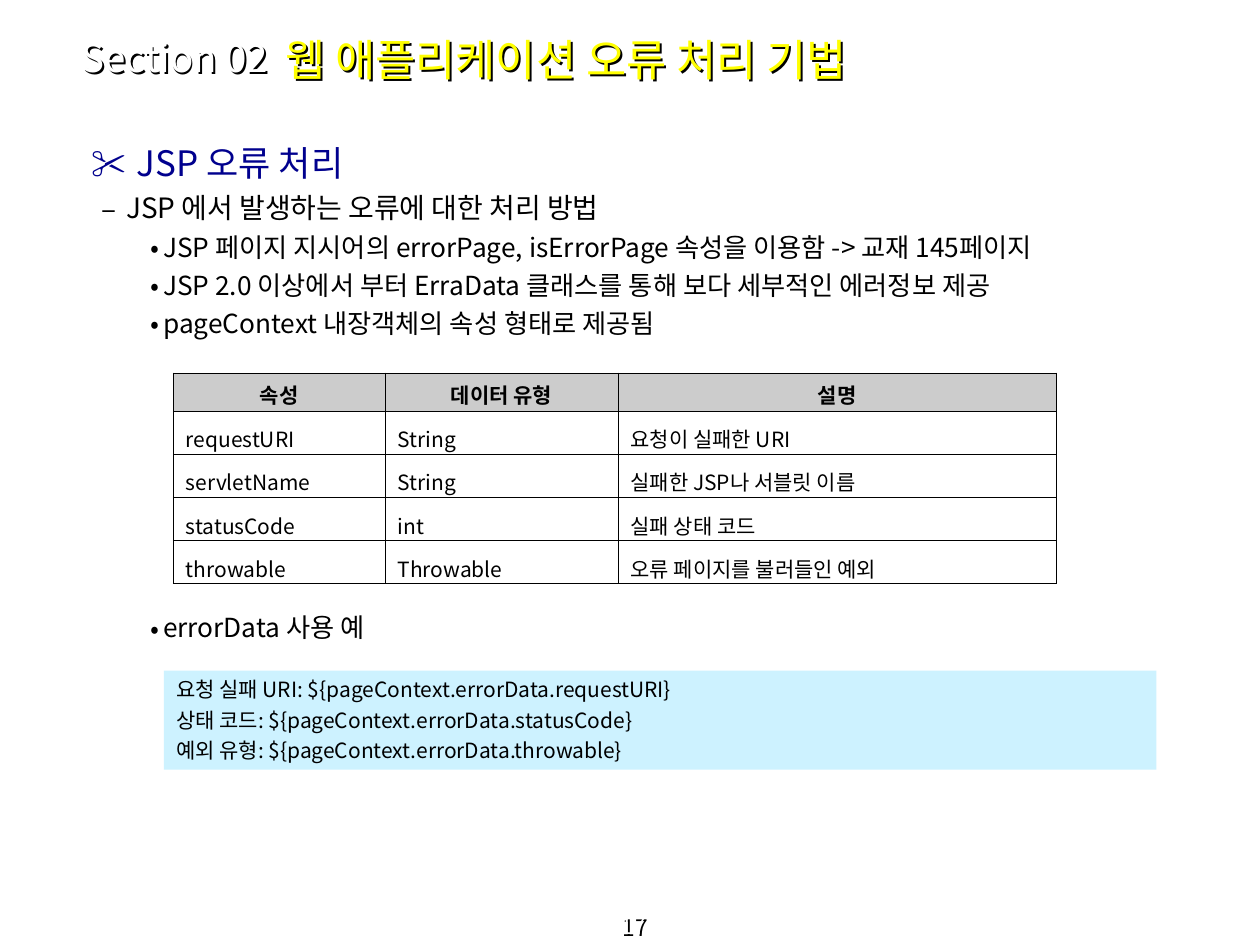
from dataclasses import dataclass

from lxml import etree
from pptx import Presentation
from pptx import util as u
from pptx.dml.color import RGBColor
from pptx.enum import shapes, text
from pptx.oxml.ns import qn


@dataclass(frozen=True)
class Theme:
    font: str = "Noto Sans CJK KR"
    black: str = "000000"
    white: str = "FFFFFF"
    navy: str = "00008E"
    yellow: str = "FFFF00"
    gray: str = "CCCCCC"
    sky: str = "CDF2FF"
    title: int = 25
    section: int = 22
    heading: int = 20
    lead: int = 16
    item: int = 15
    small: int = 12
    number: int = 13
    border: float = 0.45
    shadow: float = 1.6


THEME = Theme()
ALIGN = text.PP_ALIGN
ANCHOR = text.MSO_ANCHOR


def add_node(parent, tag, **attributes):
    return etree.SubElement(parent, qn(tag), attributes)


def write(para, content, size=THEME.small, color=THEME.black, bold=False,
          align=ALIGN.LEFT, before=0, line=None, left=0, indent=0, bullet=None):
    para.alignment = align
    para.space_before = u.Pt(before)
    if line:
        para.line_spacing = line
    properties = para._p.get_or_add_pPr()
    properties.set("marL", str(u.Pt(left)))
    properties.set("indent", str(u.Pt(indent)))
    if bullet:
        paint = add_node(properties, "a:buClr")
        add_node(paint, "a:srgbClr", val=color)
        add_node(properties, "a:buFont", typeface=THEME.font)
        add_node(properties, "a:buChar", char=bullet)
    span = para.add_run()
    span.text = content
    span.font.size = u.Pt(size)
    span.font.bold = bold
    span.font.color.rgb = RGBColor.from_string(color)
    span.font.name = THEME.font
    add_node(span._r.get_or_add_rPr(), "a:ea", typeface=THEME.font)


class SlideBuilder:
    def __init__(self, slide, theme):
        self.slide = slide
        self.theme = theme

    def fill_frame(self, frame, lines, anchor):
        frame.word_wrap = True
        frame.vertical_anchor = anchor
        for index, (content, style) in enumerate(lines):
            para = frame.paragraphs[0] if index == 0 else frame.add_paragraph()
            write(para, content, **style)

    def text_box(self, area, lines, anchor=ANCHOR.TOP):
        box = self.slide.shapes.add_textbox(*map(u.Pt, area))
        self.fill_frame(box.text_frame, lines, anchor)
        return box

    def shadowed_text(self, area, content, anchor=ANCHOR.MIDDLE, **style):
        box = self.text_box(area, [(content, style)], anchor)
        effects = add_node(box._element.spPr, "a:effectLst")
        cast = add_node(effects, "a:outerShdw", blurRad="0",
                        dist=str(u.Pt(self.theme.shadow)), dir="2700000")
        add_node(cast, "a:srgbClr", val=self.theme.black)

    def panel(self, area, lines, fill):
        box = self.slide.shapes.add_shape(
            shapes.MSO_SHAPE.RECTANGLE, *map(u.Pt, area))
        box.shadow.inherit = False
        box.fill.solid()
        box.fill.fore_color.rgb = RGBColor.from_string(fill)
        box.line.fill.background()
        self.fill_frame(box.text_frame, lines, ANCHOR.TOP)

    def cell_borders(self, cell):
        properties = cell._tc.get_or_add_tcPr()
        for index, side in enumerate("LRTB"):
            edge = add_node(properties, f"a:ln{side}", w=str(u.Pt(self.theme.border)))
            paint = add_node(edge, "a:solidFill")
            add_node(paint, "a:srgbClr", val=self.theme.black)
            properties.insert(index, edge)

    def table(self, left, top, widths, heights, rows):
        table = self.slide.shapes.add_table(
            len(rows), len(widths), u.Pt(left), u.Pt(top),
            u.Pt(sum(widths)), u.Pt(sum(heights))).table
        table.first_row = table.horz_banding = False
        for column, width in zip(table.columns, widths):
            column.width = u.Pt(width)
        for index, (row, height) in enumerate(zip(rows, heights)):
            table.rows[index].height = u.Pt(height)
            header = index == 0
            style = (dict(align=ALIGN.CENTER, bold=True) if header
                     else dict(align=ALIGN.JUSTIFY, line=1.2))
            for cell, content in zip(table.rows[index].cells, row):
                cell.fill.solid()
                cell.fill.fore_color.rgb = RGBColor.from_string(
                    self.theme.gray if header else self.theme.white)
                self.cell_borders(cell)
                write(cell.text_frame.paragraphs[0], content, **style)


def main():
    deck = Presentation()
    deck.slide_width, deck.slide_height = u.Pt(720), u.Pt(540)
    page = SlideBuilder(deck.slides.add_slide(deck.slide_layouts[6]), THEME)

    page.shadowed_text((4, 524, 716, 16), "17", ANCHOR.BOTTOM,
                       size=THEME.number, color=THEME.white, align=ALIGN.CENTER)

    item = dict(size=THEME.item, before=3.7, left=49, indent=-7, bullet="•")
    page.text_box((37.2, 77.4, 648, 436), [
        ("JSP 오류 처리", dict(size=THEME.heading, color=THEME.navy,
                           left=34, indent=-26, bullet="✂")),
        ("JSP 에서 발생하는 오류에 대한 처리 방법",
         dict(size=THEME.lead, before=4, left=28, indent=-14, bullet="–")),
        ("JSP 페이지 지시어의 errorPage, isErrorPage 속성을 이용함 -> 교재 145페이지", item),
        ("JSP 2.0 이상에서 부터 ErraData 클래스를 통해 보다 세부적인 에러정보 제공", item),
        ("pageContext 내장객체의 속성 형태로 제공됨", item),
        ("errorData 사용 예", item | dict(before=156)),
    ])

    page.shadowed_text((156, 15, 397, 37.5), "웹 애플리케이션 오류 처리 기법",
                       size=THEME.title, color=THEME.yellow)
    page.shadowed_text((39.6, 19.5, 139, 26.5), "Section 02",
                       size=THEME.section, color=THEME.white)

    page.table(99, 213.2, (121, 133.2, 250.4), (21.6,) + (24.7,) * 4, [
        ("속성", "데이터 유형", "설명"),
        ("requestURI", "String", "요청이 실패한 URI"),
        ("servletName", "String", "실패한 JSP나 서블릿 이름"),
        ("statusCode", "int", "실패 상태 코드"),
        ("throwable", "Throwable", "오류 페이지를 불러들인 예외"),
    ])

    examples = ("요청 실패 URI: ${pageContext.errorData.requestURI}",
                "상태 코드: ${pageContext.errorData.statusCode}",
                "예외 유형: ${pageContext.errorData.throwable}")
    page.panel((93.6, 383.2, 567.2, 56.6), [
        (example, dict(before=3 if index else 0, left=7, indent=-7))
        for index, example in enumerate(examples)], THEME.sky)

    deck.save("out.pptx")


if __name__ == "__main__":
    main()
